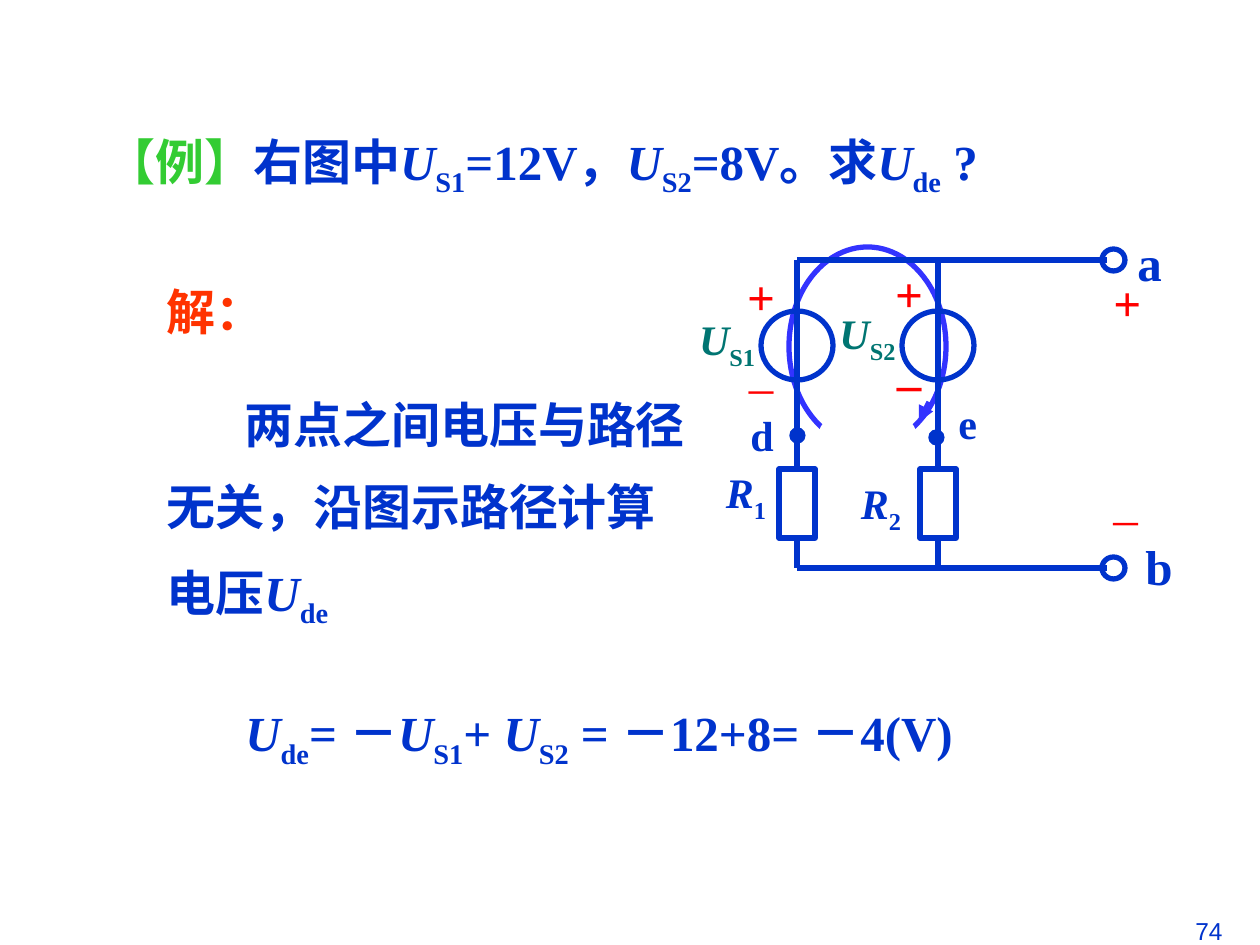
from lxml import etree
from pptx import Presentation
from pptx.dml.color import RGBColor
from pptx.enum.shapes import MSO_CONNECTOR, MSO_SHAPE
from pptx.enum.text import MSO_ANCHOR, MSO_AUTO_SIZE, PP_ALIGN
from pptx.oxml.ns import qn
from pptx.util import Pt

EMU_PER_PX = 914400 / 126
LEFT, CENTER, RIGHT = PP_ALIGN.LEFT, PP_ALIGN.CENTER, PP_ALIGN.RIGHT
TOP, MIDDLE = MSO_ANCHOR.TOP, MSO_ANCHOR.MIDDLE
OVAL, RECTANGLE = MSO_SHAPE.OVAL, MSO_SHAPE.RECTANGLE
STRAIGHT = MSO_CONNECTOR.STRAIGHT
NO_AUTOFIT = MSO_AUTO_SIZE.NONE

BLUE, PATH_BLUE, TEAL = "0033CC", "3333FF", "007572"
GREEN, ORANGE, RED, WHITE = "33CC33", "FF3300", "FF0000", "FFFFFF"
SERIF, SANS = "Times New Roman", "Arial"
BRANCH_STEP = 141  # distance between the two source branches


def px(value):
    return round(value * EMU_PER_PX)


def color(hex_text):
    return RGBColor.from_string(hex_text)


def place(shape, box):
    shape.left, shape.top, shape.width, shape.height = map(px, box)


def set_font(font, size, hex_text, name=SERIF, bold=True):
    font.size, font.bold, font.name = Pt(size), bold, name
    font.color.rgb = color(hex_text)


def add_runs(paragraph, text):
    """Add plain text and symbols; a symbol is a (letter, subscript) pair."""
    for part in text:
        if isinstance(part, str):
            paragraph.add_run().text = part
            continue
        letter, subscript = part
        run = paragraph.add_run()
        run.text = letter
        run.font.italic = True
        run = paragraph.add_run()
        run.text = subscript
        run.font._element.set("baseline", "-25000")


def add_lead(paragraph, text, hex_text=BLUE):
    """Add a run of Chinese text with its own font and colour."""
    run = paragraph.add_run()
    run.text = text
    run.font.name = SANS
    run.font.color.rgb = color(hex_text)


def remove_bullet(paragraph, first_indent=0):
    properties = paragraph._p.get_or_add_pPr()
    properties.set("marL", "0")
    properties.set("indent", str(px(first_indent)))
    etree.SubElement(properties, qn("a:buNone"))


def add_label(slide, box, text, size=24, hex_text=BLUE, align=CENTER,
              anchor=MIDDLE, wrap=True, name=SERIF, bold=True):
    shape = slide.shapes.add_textbox(*map(px, box))
    frame = shape.text_frame
    frame.word_wrap, frame.vertical_anchor = wrap, anchor
    paragraph = frame.paragraphs[0]
    paragraph.alignment = align
    add_runs(paragraph, text)
    set_font(paragraph.font, size, hex_text, name, bold)
    return frame


def add_outline(slide, kind, box, line=BLUE, width=3, fill=None):
    shape = slide.shapes.add_shape(kind, *map(px, box))
    shape.shadow.inherit = False
    shape.line.color.rgb, shape.line.width = color(line), Pt(width)
    if fill:
        shape.fill.solid()
        shape.fill.fore_color.rgb = color(fill)
    else:
        shape.fill.background()
    return shape


def add_wire(slide, start, end, line=BLUE, arrow=False):
    wire = slide.shapes.add_connector(STRAIGHT, *map(px, start + end))
    wire.line.color.rgb, wire.line.width = color(line), Pt(3)
    etree.SubElement(wire._element.spPr, qn("a:effectLst"))
    if arrow:
        etree.SubElement(wire.line._get_or_add_ln(), qn("a:tailEnd"), type="triangle")
    return wire


def add_branch(slide, x):
    """Voltage source in series with a resistor, centred on x."""
    add_outline(slide, OVAL, (x - 36, 311, 72, 69))
    resistor = add_outline(slide, RECTANGLE, (x - 18, 469, 36, 69))
    add_wire(slide, (x, 260), (x, 469)).end_connect(resistor, 0)
    add_wire(slide, (x, 538), (x, 568)).begin_connect(resistor, 2)


def add_polarity(slide, box, minus_bold):
    frame = add_label(slide, box, ["+"], 28, RED)
    minus = frame.add_paragraph()
    minus.alignment, minus.space_before = CENTER, Pt(17.5)
    add_runs(minus, ["–"])
    set_font(minus.font, 28, RED, bold=minus_bold)


def add_question(slide):
    title = slide.shapes.title
    place(title, (94, 125, 932, 146))
    frame = title.text_frame
    frame.auto_size, frame.vertical_anchor = NO_AUTOFIT, TOP
    paragraph = frame.paragraphs[0]
    paragraph.alignment = LEFT
    add_lead(paragraph, "【例】", GREEN)
    add_lead(paragraph, "右图中")
    add_runs(paragraph, [("U", "S1"), "=12V，", ("U", "S2"), "=8V。求", ("U", "de"), " ?"])
    set_font(paragraph.font, 28, BLUE)


def add_solution(slide):
    body = slide.placeholders[1]
    place(body, (154, 275, 556, 360))
    frame = body.text_frame
    frame.auto_size = NO_AUTOFIT
    heading, reason = frame.paragraphs[0], frame.add_paragraph()
    heading.space_before = Pt(0)
    reason.space_before, reason.line_spacing = Pt(17.5), 1.4
    remove_bullet(heading)
    remove_bullet(reason, first_indent=78)
    add_lead(heading, "解：", ORANGE)
    add_lead(reason, "两点之间电压与路径无关，沿图示路径计算电压")
    add_runs(reason, [("U", "de")])
    for paragraph in (heading, reason):
        set_font(paragraph.font, 28, BLUE)


def add_circuit(slide):
    # Calculation path, drawn behind the circuit and opened at the bottom
    add_outline(slide, OVAL, (789, 247, 157, 199), PATH_BLUE)
    add_outline(slide, OVAL, (820, 411, 95, 42), WHITE, 0.75, WHITE)
    add_wire(slide, (929, 402), (919, 422), PATH_BLUE, arrow=True)

    # Branches, rails with terminals, and nodes
    for index in range(2):
        add_branch(slide, 797 + index * BRANCH_STEP)
    for y in (260, 568):
        add_wire(slide, (797, y), (1107, y))
        add_outline(slide, OVAL, (1102, y - 11, 23, 22))
    for x, y in ((797, 435), (936, 437)):
        add_outline(slide, OVAL, (x - 7, y - 7, 15, 15), width=0.75, fill=BLUE)

    # Component labels
    for box, symbol, hex_text in (
            ((673, 307, 108, 71), ("U", "S1"), TEAL),
            ((809, 301, 117, 71), ("U", "S2"), TEAL),
            ((704, 460, 84, 71), ("R", "1"), BLUE),
            ((837, 471, 88, 71), ("R", "2"), BLUE)):
        add_label(slide, box, [symbol], hex_text=hex_text)
    add_polarity(slide, (725, 260, 72, 161), minus_bold=False)
    add_polarity(slide, (873, 257, 72, 161), minus_bold=True)

    # Node and terminal labels
    for box, letter in (((738, 403, 81, 63), "d"), ((946, 391, 81, 63), "e")):
        add_label(slide, box, [letter], align=LEFT, anchor=TOP)
    for box, letter in (((1125, 226, 49, 72), "a"), ((1133, 530, 52, 72), "b")):
        add_label(slide, box, [letter], 28, wrap=False)
    for box, sign in (((1101, 266, 59, 72), "+"), ((1101, 464, 71, 72), "_")):
        add_label(slide, box, [sign], 28, RED, LEFT, TOP, bold=sign == "+")


def add_result(slide):
    frame = add_label(
        slide, (233, 690, 755, 151),
        [("U", "de"), "= －", ("U", "S1"), "+ ", ("U", "S2"), " = －12+8= －4(V)"],
        28, align=LEFT, anchor=TOP)
    frame.paragraphs[0].line_spacing = 1.1


def main():
    presentation = Presentation()
    presentation.slide_width, presentation.slide_height = px(1260), px(945)
    slide = presentation.slides.add_slide(presentation.slide_layouts[1])
    add_question(slide)
    add_solution(slide)
    add_circuit(slide)
    add_result(slide)
    # Slide number
    add_label(slide, (920, 910, 315, 66), ["74"], 14, align=RIGHT, anchor=TOP,
              name=SANS, bold=False)
    presentation.save("out.pptx")


if __name__ == "__main__":
    main()
